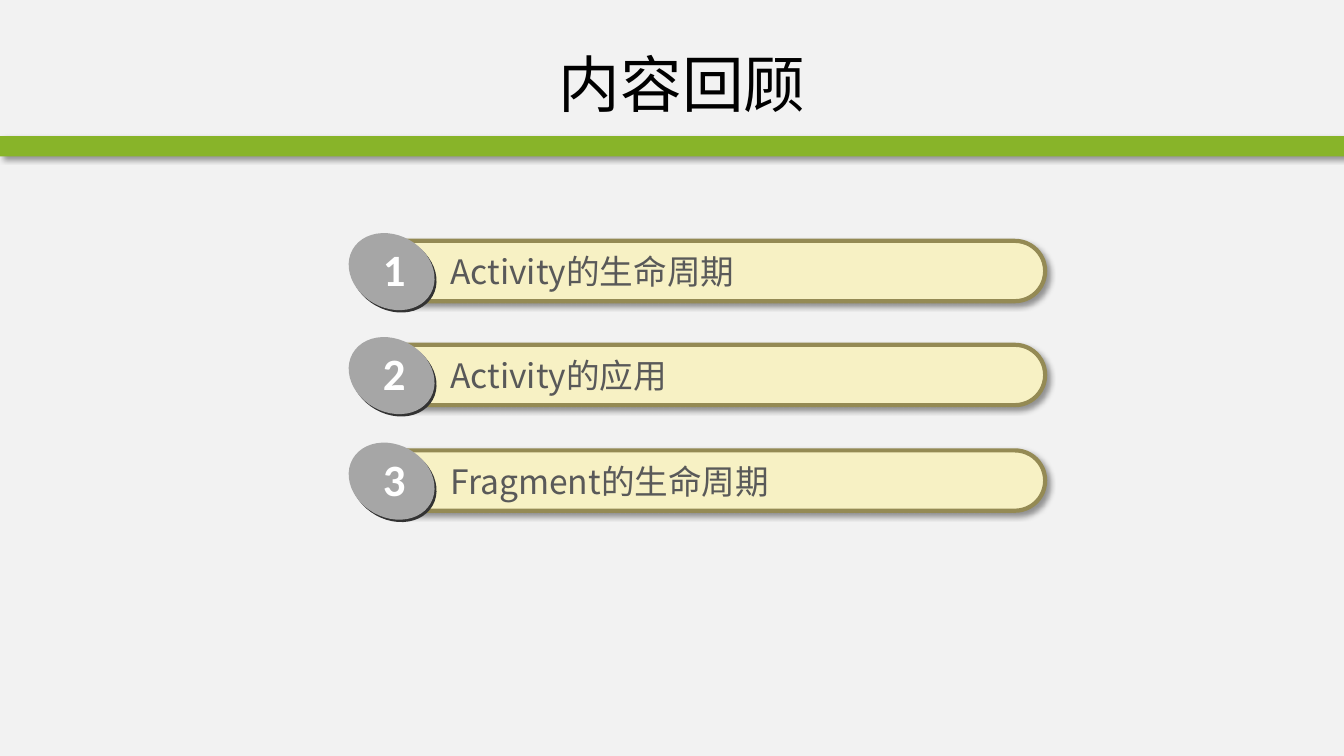
from dataclasses import dataclass

from lxml import etree
from pptx import Presentation
from pptx import util as u
from pptx.dml import color
from pptx.enum import shapes, text
from pptx.oxml import ns

COLORS = {
    "background": "F2F2F2",
    "band": "88B429",
    "bar": "F7F1C4",
    "bar_line": "948A54",
    "badge_edge": "333333",
    "badge": "A6A6A6",
    "topic": "595959",
    "number": "FFFFFF",
    "title": "000000",
}
CHINESE_FONT = "Noto Sans CJK SC"


@dataclass(frozen=True)
class Box:
    left: float
    top: float
    width: float
    height: float

    def lengths(self) -> list[u.Length]:
        return [u.Cm(value) for value in (self.left, self.top, self.width, self.height)]


@dataclass(frozen=True)
class TextStyle:
    font: str
    size: int
    color: str
    bold: bool = False
    centered: bool = False
    wrap: bool = True
    grow: bool = True


@dataclass(frozen=True)
class Topic:
    number: int
    label: str
    top: float


TITLE_STYLE = TextStyle(CHINESE_FONT, 44, "title", centered=True, grow=False)
TOPIC_STYLE = TextStyle(CHINESE_FONT, 24, "topic")
NUMBER_STYLE = TextStyle("Calibri", 32, "number", bold=True, wrap=False)

TOPICS = [
    Topic(1, "Activity的生命周期", 6.07),
    Topic(2, "Activity的应用", 8.69),
    Topic(3, "Fragment的生命周期", 11.35),
]


def rgb(name: str) -> color.RGBColor:
    return color.RGBColor.from_string(COLORS[name])


def add_filled(container, kind: shapes.MSO_SHAPE, box: Box, fill: str):
    shape = container.add_shape(kind, *box.lengths())
    shape.fill.solid()
    shape.fill.fore_color.rgb = rgb(fill)
    shape.line.fill.background()
    shape.shadow.inherit = False
    return shape


def add_shadow(shape) -> None:
    effects = shape._element.spPr.find(ns.qn("a:effectLst"))
    shadow = etree.SubElement(
        effects, ns.qn("a:outerShdw"), blurRad=str(u.Pt(4)), dist=str(u.Pt(3)),
        dir="2700000", algn="tl", rotWithShape="0",
    )
    tint = etree.SubElement(shadow, ns.qn("a:srgbClr"), val="000000")
    etree.SubElement(tint, ns.qn("a:alpha"), val="40000")


def add_text(container, box: Box, content: str, style: TextStyle) -> None:
    frame = container.add_textbox(*box.lengths()).text_frame
    frame.word_wrap = style.wrap
    if style.grow:
        frame.auto_size = text.MSO_AUTO_SIZE.SHAPE_TO_FIT_TEXT
    else:
        frame.vertical_anchor = text.MSO_ANCHOR.MIDDLE
    paragraph = frame.paragraphs[0]
    paragraph.alignment = text.PP_ALIGN.CENTER if style.centered else text.PP_ALIGN.LEFT
    run = paragraph.add_run()
    run.text = content
    run.font.size = u.Pt(style.size)
    run.font.bold = style.bold
    run.font.color.rgb = rgb(style.color)
    run.font.name = style.font
    etree.SubElement(run._r.get_or_add_rPr(), ns.qn("a:ea"), typeface=style.font)


def add_topic(slide, topic: Topic) -> None:
    group = slide.shapes.add_group_shape().shapes
    bar = add_filled(group, shapes.MSO_SHAPE.ROUNDED_RECTANGLE,
                     Box(9.3, topic.top, 17.04, 1.52), "bar")
    bar.adjustments[0] = 0.5
    bar.line.color.rgb = rgb("bar_line")
    bar.line.width = u.Pt(3)
    add_shadow(bar)
    add_text(group, Box(11.1, topic.top + 0.13, 13.56, 1.28), topic.label, TOPIC_STYLE)
    for left, rise, fill in ((8.79, 0.08, "badge_edge"), (8.74, 0.14, "badge")):
        badge = add_filled(group, shapes.MSO_SHAPE.OVAL,
                           Box(left, topic.top - rise, 2.26, 1.83), fill)
        badge.rotation = 29.3
    add_text(group, Box(9.4, topic.top - 0.1, 1.09, 1.62), str(topic.number), NUMBER_STYLE)


def main() -> None:
    presentation = Presentation()
    presentation.slide_width = u.Cm(33.87)
    presentation.slide_height = u.Cm(19.05)
    slide = presentation.slides.add_slide(presentation.slide_layouts[6])
    slide.background.fill.solid()
    slide.background.fill.fore_color.rgb = rgb("background")
    band = add_filled(slide.shapes, shapes.MSO_SHAPE.RECTANGLE,
                      Box(0, 3.43, 33.87, 0.51), "band")
    add_shadow(band)
    for topic in TOPICS:
        add_topic(slide, topic)
    add_text(slide.shapes, Box(3.53, 0.76, 27.33, 2.67), "内容回顾", TITLE_STYLE)
    presentation.save("out.pptx")


if __name__ == "__main__":
    main()
